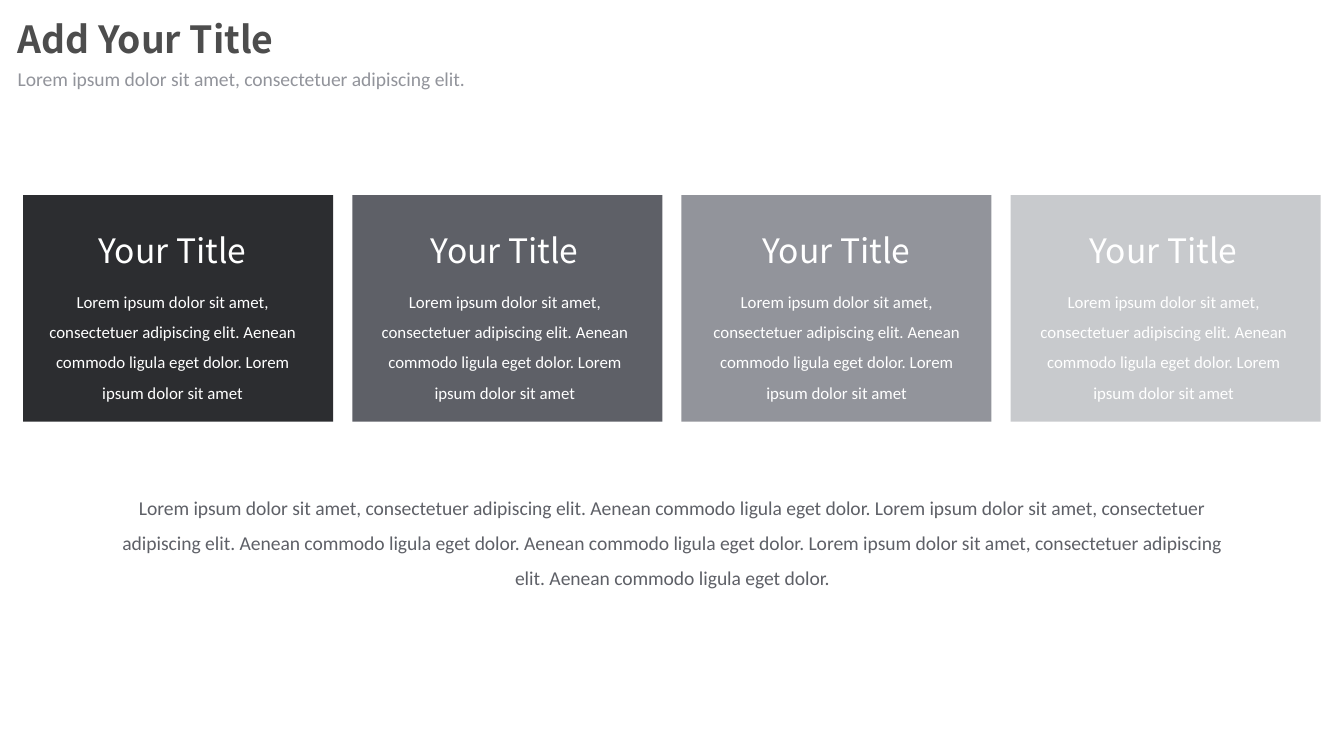
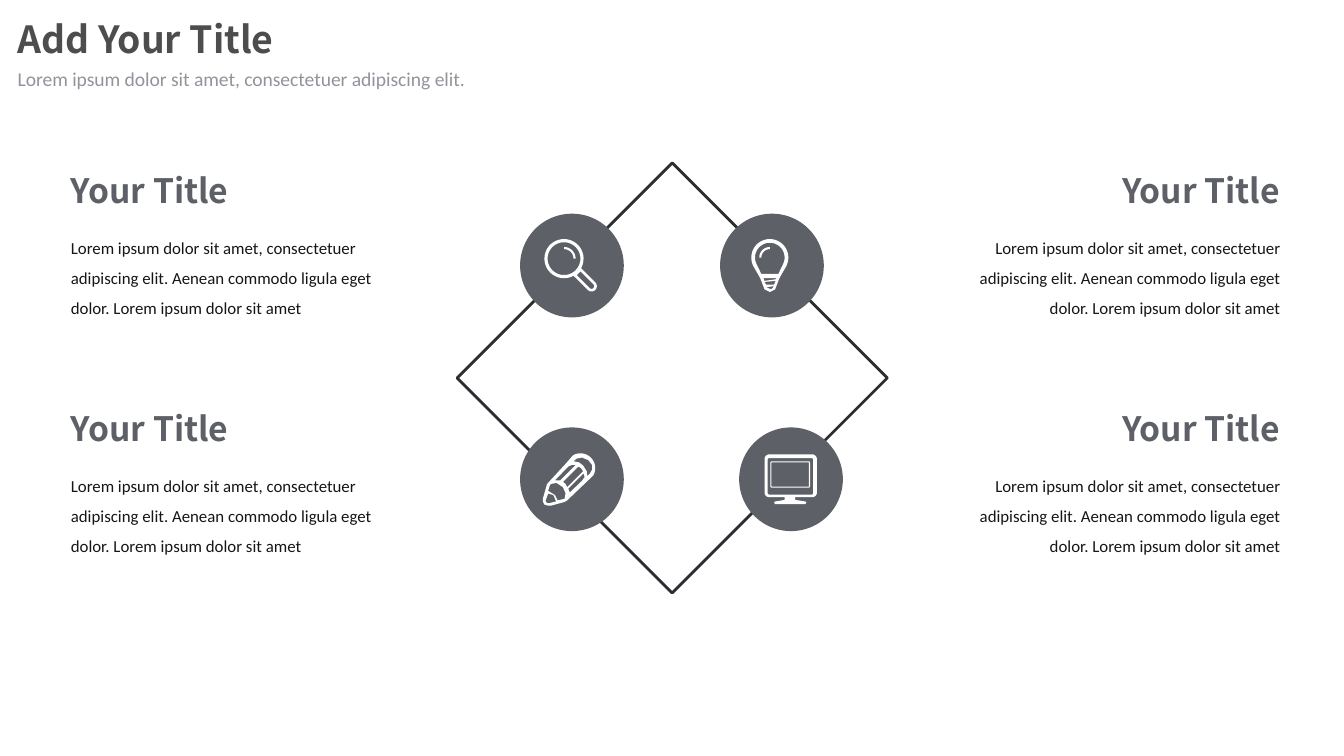
from math import cos, radians, sin

from lxml.etree import SubElement
from pptx import Presentation
from pptx.dml.color import RGBColor
from pptx.enum.shapes import MSO_SHAPE as Preset
from pptx.enum.text import MSO_ANCHOR as Anchor
from pptx.enum.text import MSO_AUTO_SIZE as AutoSize
from pptx.enum.text import PP_ALIGN as Align
from pptx.oxml.ns import qn
from pptx.util import Cm, Pt

COLORS = {
    "title": "4D4D4D",
    "ink": "161618",
    "charcoal": "2C2D30",
    "slate": "5E6067",
    "gray": "92949B",
    "silver": "C8CACD",
    "white": "FFFFFF",
}
HEAD_FONT = "Noto Sans CJK SC"
TEXT_FONT = "Calibri"

LOREM = "Lorem ipsum dolor sit amet, consectetuer adipiscing elit."
AENEAN = "Aenean commodo ligula eget dolor."
BLURB = f"{LOREM} {AENEAN} Lorem ipsum dolor sit amet"
SUMMARY = f"{LOREM} {AENEAN} {LOREM} {AENEAN} {AENEAN} {LOREM} {AENEAN}"


def rgb(color):
    return RGBColor.from_string(COLORS[color])


def write(box, text, size, color, font=TEXT_FONT, bold=False,
          align=Align.LEFT, spacing=1.0):
    frame = box.text_frame
    frame.word_wrap = True
    frame.auto_size = AutoSize.SHAPE_TO_FIT_TEXT
    frame.vertical_anchor = Anchor.TOP
    para = frame.paragraphs[0]
    para.text = text
    para.alignment = align
    para.line_spacing = spacing
    para.space_before = Pt(0)
    para.font.name = font
    para.font.size = Pt(size)
    para.font.bold = bold
    para.font.color.rgb = rgb(color)


def place(shape, left, top, width, height):
    shape.left, shape.top = Cm(left), Cm(top)
    shape.width, shape.height = Cm(width), Cm(height)


def add_text(page, left, top, width, height, *args, **style):
    box = page.shapes.add_textbox(Cm(left), Cm(top), Cm(width), Cm(height))
    write(box, *args, **style)


def add_heading(page, left, top, width, color, **style):
    add_text(page, left, top, width, 1.02, "Your Title", 18, color,
             font=HEAD_FONT, **style)


def paint(shape, fill=None, line=None):
    shape.shadow.inherit = False
    if fill:
        shape.fill.solid()
        shape.fill.fore_color.rgb = rgb(fill)
    else:
        shape.fill.background()
    if line:
        shape.line.color.rgb = rgb(line)
        shape.line.width = Pt(1.5)
    else:
        shape.line.fill.background()


def add_figure(page, preset, left, top, width, height, **colors):
    shape = page.shapes.add_shape(
        preset, Cm(left), Cm(top), Cm(width), Cm(height))
    paint(shape, **colors)


def add_page(deck):
    """Add a slide with the shared title and subtitle line."""
    page = deck.slides.add_slide(deck.slide_layouts[1])
    title, subtitle = page.placeholders
    place(title, 0.08, 0.18, 10.54, 1.12)
    write(title, "Add Your Title", 20, "title", font=HEAD_FONT, bold=True)
    place(subtitle, 0.08, 1.14, 9.12, 0.71)
    props = subtitle.text_frame.paragraphs[0]._p.get_or_add_pPr()
    props.set("marL", "0")
    props.set("indent", "0")
    SubElement(props, qn("a:buNone"))
    write(subtitle, LOREM, 10.5, "gray")
    return page


def arc(x, y, radius, start, end):
    """Points along an arc; degrees run clockwise from the right."""
    steps = max(6, round(abs(end - start) / 8))
    angles = [radians(start + (end - start) * i / steps)
              for i in range(steps + 1)]
    return [(x + radius * cos(a), y + radius * sin(a)) for a in angles]


def rounded(left, top, right, bottom, radius):
    """Rounded rectangle, ending at the right of its bottom edge."""
    x1, x2 = left + radius, right - radius
    y1, y2 = top + radius, bottom - radius
    corners = [(x1, y2), (x1, y1), (x2, y1), (x2, y2)]
    return [point for i, (x, y) in enumerate(corners)
            for point in arc(x, y, radius, 90 * (i + 1), 90 * (i + 2))]


def glint(x, y, radius, start):
    """Quarter ring of light on glass."""
    return [arc(x, y, radius, start, start + 90)
            + arc(x, y, radius - 0.04, start + 90, start)]


# Each icon is a list of parts; a part is an outline followed by its holes.
# Points are in centimetres from the icon's top left corner.
MAGNIFIER = [
    [
        arc(0.37, 0.37, 0.37, 61, 389) + arc(0.89, 0.89, 0.1, -45, 135),
        arc(0.37, 0.37, 0.31, 0, 360),
        arc(0.89, 0.89, 0.05, -45, 135) + [(0.61, 0.68), (0.68, 0.61)],
    ],
    glint(0.37, 0.37, 0.22, -90),
]
BULB = [
    [
        arc(0.35, 0.35, 0.35, 150, 390)
        + [(0.53, 0.74), (0.45, 0.95), (0.35, 1), (0.25, 0.95), (0.17, 0.74)],
        arc(0.35, 0.35, 0.28, 150, 390) + [(0.51, 0.66), (0.19, 0.66)],
        [(0.25, 0.79), (0.23, 0.74), (0.48, 0.74), (0.46, 0.76)],
        [(0.43, 0.86), (0.28, 0.86), (0.25, 0.81), (0.46, 0.79)],
        [(0.28, 0.91), (0.43, 0.89), (0.39, 0.94), (0.35, 0.94)],
    ],
    glint(0.35, 0.35, 0.2, 180),
]
PENCIL = [
    [
        [(0.08, 0.58), (0.43, 0.2)] + arc(0.71, 0.28, 0.28, -120, 30)
        + [(0.46, 0.89), (0.41, 0.92), (0.15, 0.99), (0.1, 0.99),
           (0.03, 0.97), (0, 0.91), (0, 0.86)],
        [(0.89, 0.38), (0.84, 0.43), (0.83, 0.34), (0.76, 0.23),
         (0.68, 0.17), (0.58, 0.15), (0.64, 0.1), (0.74, 0.08),
         (0.86, 0.13), (0.93, 0.22), (0.93, 0.31)],
        [(0.28, 0.89), (0.23, 0.79), (0.1, 0.71), (0.13, 0.61),
         (0.15, 0.58), (0.26, 0.56), (0.38, 0.64), (0.43, 0.76),
         (0.41, 0.86)],
        [(0.13, 0.94), (0.08, 0.94), (0.05, 0.9), (0.1, 0.76),
         (0.2, 0.79), (0.25, 0.91)],
        [(0.33, 0.51), (0.23, 0.51), (0.48, 0.25), (0.55, 0.22),
         (0.62, 0.22)],
        [(0.46, 0.64), (0.43, 0.58), (0.38, 0.54), (0.67, 0.25),
         (0.72, 0.28), (0.76, 0.34)],
        [(0.51, 0.74), (0.48, 0.67), (0.77, 0.38), (0.79, 0.45),
         (0.74, 0.52)],
    ],
]
MONITOR = [
    [
        rounded(0.11, 0.13, 0.86, 0.63, 0.03),
        rounded(0.13, 0.15, 0.84, 0.61, 0.01),
    ],
    [
        rounded(0, 0, 0.99, 0.81, 0.09)
        + [(0.58, 0.81), (0.58, 0.86), (0.77, 0.89), (0.79, 0.91),
           (0.77, 0.94), (0.2, 0.94), (0.18, 0.91), (0.2, 0.89),
           (0.38, 0.86), (0.38, 0.81)],
        rounded(0.06, 0.07, 0.92, 0.76, 0.03),
    ],
]


def add_icon(page, left, top, parts):
    for contours in parts:
        # Path points are whole numbers, so they are given in micrometres.
        (first, *rest), *holes = [
            [(x * 10000, y * 10000) for x, y in contour]
            for contour in contours]
        path = page.shapes.build_freeform(*first, scale=Cm(0.0001))
        path.add_line_segments(rest)
        for start, *others in holes:
            path.move_to(*start)
            path.add_line_segments(others)
        paint(path.convert_to_shape(Cm(left), Cm(top)), fill="white")


def add_card_page(deck):
    page = add_page(deck)
    fills = ["charcoal", "slate", "gray", "silver"]
    for column, fill in enumerate(fills):
        add_figure(page, Preset.RECTANGLE, 0.44 + 6.22 * column, 3.69,
                   5.86, 4.28, fill=fill)
    for left in (0.43, 6.71, 12.98, 19.16):
        add_text(page, left, 5.19, 5.66, 2.51, BLURB, 9, "white",
                 align=Align.CENTER, spacing=1.5)
        add_heading(page, left - 0.41, 4.23, 6.48, "white",
                    align=Align.CENTER)
    add_text(page, 1.8, 9.02, 21.82, 2.21, SUMMARY, 10.5, "slate",
             align=Align.CENTER, spacing=1.5)


def add_diamond_page(deck):
    page = add_page(deck)
    add_figure(page, Preset.DIAMOND, 8.64, 3.08, 8.13, 8.13, line="charcoal")
    topics = [
        (13.61, 4.04, 14.2, 4.52, BULB),
        (9.83, 4.04, 10.29, 4.52, MAGNIFIER),
        (9.83, 8.08, 10.26, 8.57, PENCIL),
        (13.97, 8.08, 14.45, 8.59, MONITOR),
    ]
    for left, top, *_ in topics:
        add_figure(page, Preset.OVAL, left, top, 1.96, 1.96, fill="slate")

    columns = [(1.09, 1.09, Align.LEFT), (17.73, 19.89, Align.RIGHT)]
    for text_left, heading_left, align in columns:
        for top in (3.08, 7.58):
            add_text(page, text_left, top + 1.09, 6.71, 1.93, BLURB, 9, "ink",
                     align=align, spacing=1.5)
            add_heading(page, heading_left, top, 4.55, "slate", bold=True,
                        align=align)
    for _, _, left, top, icon in topics:
        add_icon(page, left, top, icon)


def main():
    deck = Presentation()
    deck.slide_width, deck.slide_height = Cm(25.4), Cm(14.29)
    add_card_page(deck)
    add_diamond_page(deck)
    deck.save("out.pptx")


if __name__ == "__main__":
    main()
